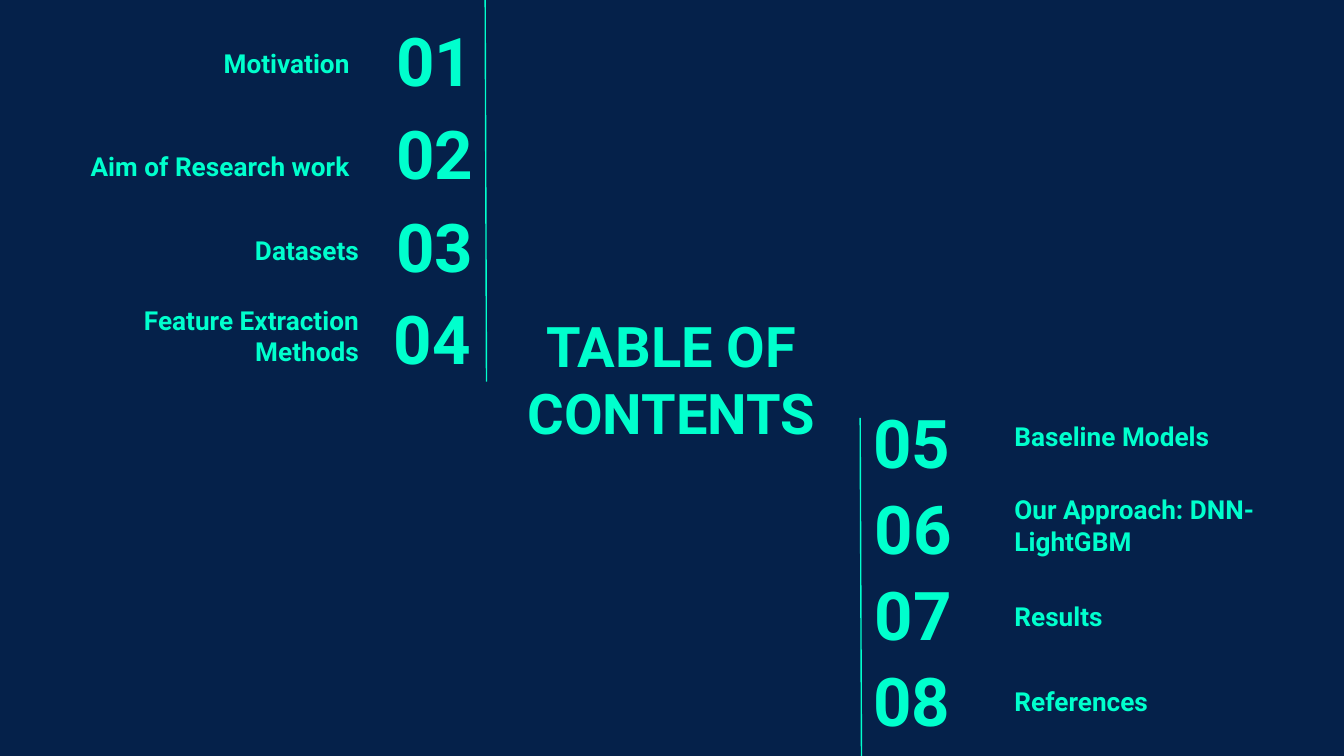
from pptx import Presentation
from pptx import util as u
from pptx.dml.color import RGBColor
from pptx.enum import shapes, text
from pptx.oxml import parse_xml
from pptx.oxml.ns import nsdecls

THEME = {
    "font": "Roboto",
    "back": RGBColor.from_string("05214A"),
    "mint": RGBColor.from_string("00FFCD"),
    "title": 30,
    "num": 36,
    "label": 14,
    "rule": 0.75,
}

TITLE = ("TABLE OF CONTENTS", (3.7, 2.3, 2.59, 1.03))
LABEL_W, ROW_H = 2.16, 0.63

GROUPS = [
    {
        "first": 1, "top": 0.13, "step": 0.69, "width": 1.21,
        "align": text.PP_ALIGN.RIGHT,
        "rule": (3.61, 0, 3.62, 2.84),
        "items": [
            ("Motivation", 2.41, 0.54, 0.06),
            ("Aim of Research work", 2.41, 0.54, 0.82),
            ("Datasets", 2.41, 0.61, 1.45),
            ("Feature Extraction Methods", 2.39, 0.61, 2.2),
        ],
    },
    {
        "first": 5, "top": 2.97, "step": 0.64, "width": 1.17,
        "align": text.PP_ALIGN.LEFT,
        "rule": (6.4, 3.11, 6.41, 5.64),
        "items": [
            ("Baseline Models", 6.4, 7.45, 2.83),
            ("Our Approach: DNN-LightGBM", 6.41, 7.45, 3.61),
            ("Results", 6.41, 7.45, 4.17),
            ("References", 6.4, 7.45, 4.8),
        ],
    },
]


def write(shape, words, size, align, anchor):
    frame = shape.text_frame
    frame.word_wrap = True
    frame.auto_size = text.MSO_AUTO_SIZE.NONE
    frame.vertical_anchor = anchor
    frame.margin_left = frame.margin_right = u.Inches(0.1)
    frame.margin_top = frame.margin_bottom = u.Inches(0.1)
    para = frame.paragraphs[0]
    para.alignment = align
    para.line_spacing = 1.0
    para.space_before = u.Pt(0)
    run = para.add_run()
    run.text = words
    run.font.name = THEME["font"]
    run.font.size = u.Pt(THEME[size])
    run.font.bold = True
    run.font.color.rgb = THEME["mint"]


def add_text(slide, words, place, size, align, anchor):
    box = slide.shapes.add_textbox(*map(u.Inches, place))
    write(box, words, size, align, anchor)


def add_rule(slide, ends):
    line = slide.shapes.add_connector(
        shapes.MSO_CONNECTOR.STRAIGHT, *map(u.Inches, ends))
    line.line.color.rgb = THEME["mint"]
    line.line.width = u.Pt(THEME["rule"])
    line._element.spPr.append(parse_xml(f"<a:effectLst {nsdecls('a')}/>"))


def add_group(slide, group):
    add_rule(slide, group["rule"])
    for i, (label, num_x, label_x, label_y) in enumerate(group["items"]):
        num_y = group["top"] + i * group["step"]
        add_text(slide, f"{group['first'] + i:02d}",
                 (num_x, num_y, group["width"], ROW_H),
                 "num", group["align"], text.MSO_ANCHOR.MIDDLE)
        add_text(slide, label, (label_x, label_y, LABEL_W, ROW_H),
                 "label", group["align"], text.MSO_ANCHOR.BOTTOM)


def main():
    deck = Presentation()
    deck.slide_width = u.Inches(10)
    deck.slide_height = deck.slide_width * 9 // 16
    slide = deck.slides.add_slide(deck.slide_layouts[5])
    slide.background.fill.solid()
    slide.background.fill.fore_color.rgb = THEME["back"]

    words, place = TITLE
    title = slide.shapes.title
    title.left, title.top, title.width, title.height = map(u.Inches, place)
    write(title, words, "title", text.PP_ALIGN.CENTER, text.MSO_ANCHOR.MIDDLE)

    for group in GROUPS:
        add_group(slide, group)
    deck.save("out.pptx")


if __name__ == "__main__":
    main()
